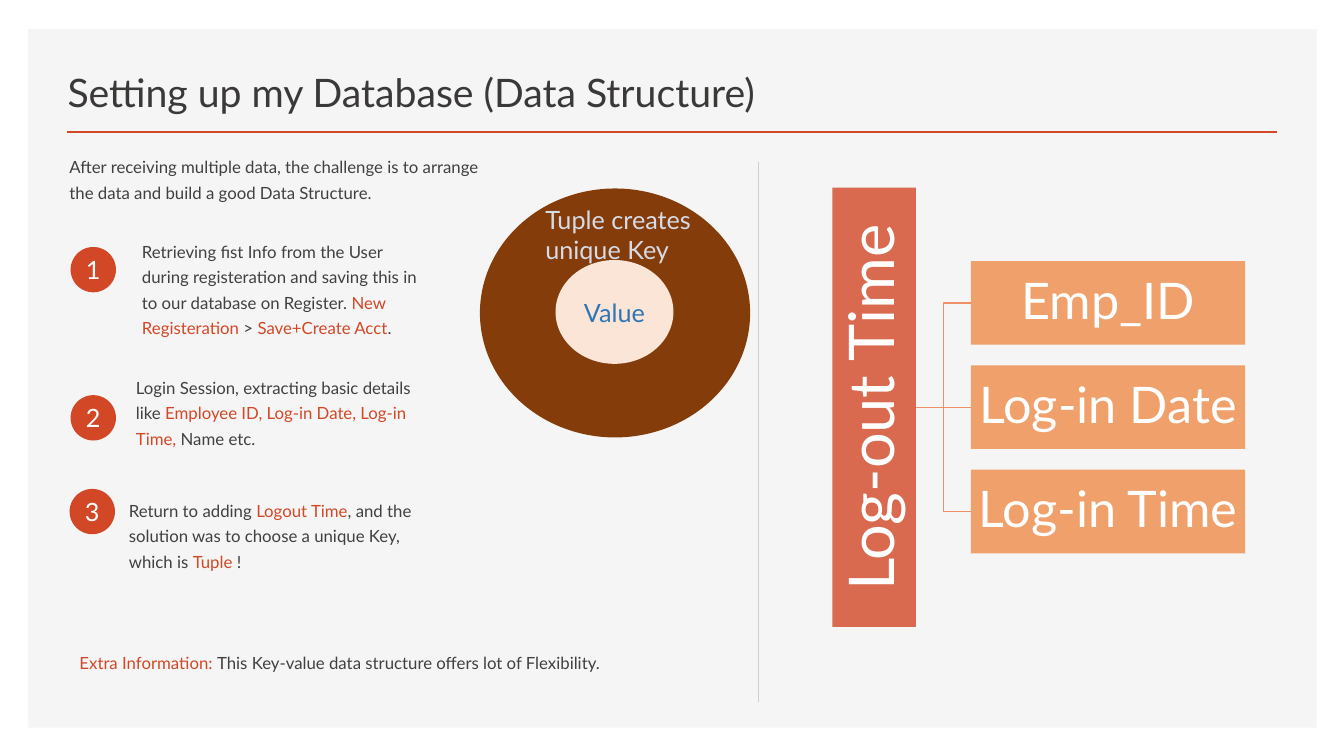
"""Builds the slide about setting up a key-value data structure."""
from dataclasses import dataclass

from lxml import etree
from pptx import Presentation
from pptx.dml.color import RGBColor
from pptx.enum.shapes import MSO_CONNECTOR, MSO_SHAPE
from pptx.enum.text import MSO_ANCHOR, MSO_AUTO_SIZE, PP_ALIGN
from pptx.oxml.ns import qn
from pptx.util import Inches, Pt

RECTANGLE, OVAL = MSO_SHAPE.RECTANGLE, MSO_SHAPE.OVAL
STRAIGHT, ELBOW = MSO_CONNECTOR.STRAIGHT, MSO_CONNECTOR.ELBOW
LEFT, CENTER = PP_ALIGN.LEFT, PP_ALIGN.CENTER
TOP, MIDDLE, BOTTOM = MSO_ANCHOR.TOP, MSO_ANCHOR.MIDDLE, MSO_ANCHOR.BOTTOM


@dataclass(frozen=True)
class Theme:
    font: str = "Lato"
    panel: str = "F5F5F5"
    accent: str = "D24726"
    heading: str = "3B3838"
    body: str = "404040"
    white: str = "FFFFFF"
    divider: str = "D0CECE"
    ring: str = "843C0B"
    ring_text: str = "D6DCE5"
    core: str = "FBE5D6"
    core_text: str = "2E75B6"
    field: str = "ED7D31"
    link: str = "EF9166"
    title_size: int = 28
    body_size: int = 12
    label_size: int = 18
    key_size: int = 45
    field_size: int = 36


THEME = Theme()
SLIDE_SIZE = (13.33, 7.5)
TITLE = "Setting up my Database (Data Structure)"
PLAIN, MARKED = THEME.body, THEME.accent

NOTES = [
    ((0.59, 1.46, 4.39, 0.7), [
        ("After receiving multiple data, the challenge is to arrange the data "
         "and build a good Data Structure.", PLAIN)]),
    ((1.31, 2.3, 3.06, 1.58), [
        ("Retrieving fist Info from the User during registeration and saving "
         "this in to our database on Register. ", PLAIN),
        ("New Registeration", MARKED), (" > ", PLAIN),
        ("Save+Create Acct", MARKED), (".", PLAIN)]),
    ((1.25, 3.65, 3.11, 1.12), [
        ("Login Session, extracting basic details like ", PLAIN),
        ("Employee ID, Log-in Date, Log-in Time,", MARKED),
        (" Name etc.", PLAIN)]),
    ((1.18, 4.87, 3.2, 1.38), [
        ("Return to adding ", PLAIN), ("Logout Time", MARKED),
        (", and the solution was to choose a unique Key, which is ", PLAIN),
        ("Tuple ", MARKED), ("!", PLAIN)]),
    ((0.69, 6.38, 6.67, 0.76), [
        ("Extra Information: ", MARKED),
        ("This Key-value data structure offers lot of Flexibility.", PLAIN)]),
]
BADGES = [(0.7, 2.45), (0.7, 3.92), (0.69, 4.85)]
BADGE_SIZE = 0.45

RING_BOX = (4.76, 1.87, 2.68, 2.47)
CORE_BOX = (5.51, 2.58, 1.17, 1.03)
RING_LABEL_BOX = (5.31, 1.98, 2.3, 0.71)

VALUE_KEY = "Log-out Time"
KEY_FIELDS = ["Emp_ID", "Log-in Date", "Log-in Time"]
TREE_MIDDLE = 4.04
BAR_HEIGHT, KEY_LENGTH, FIELD_WIDTH = 0.83, 4.36, 2.72
KEY_CENTER, FIELD_LEFT, FIELD_PITCH = 8.67, 9.63, 1.035


def inches(values):
    return [Inches(value) for value in values]


def color(value):
    return RGBColor.from_string(value)


def write(frame, spans, size, align=LEFT, anchor=TOP, inset=None):
    frame.word_wrap = True
    frame.auto_size = MSO_AUTO_SIZE.NONE
    frame.vertical_anchor = anchor
    if inset is not None:
        frame.margin_left = frame.margin_right = Inches(inset)
        frame.margin_top = frame.margin_bottom = Inches(inset)
    para = frame.paragraphs[0]
    para.alignment = align
    for text, tint in spans:
        span = para.add_run()
        span.text = text
        span.font.name = THEME.font
        span.font.size = Pt(size)
        span.font.color.rgb = color(tint)
    return para


def add_block(page, kind, place, fill, opacity=None):
    block = page.shapes.add_shape(kind, *inches(place))
    block.shadow.inherit = False
    block.line.fill.background()
    block.fill.solid()
    block.fill.fore_color.rgb = color(fill)
    if opacity:
        tint = block._element.spPr.find(".//" + qn("a:srgbClr"))
        etree.SubElement(tint, qn("a:alpha"), val=str(opacity * 1000))
    return block


def add_text(page, place, spans, size):
    box = page.shapes.add_textbox(*inches(place))
    return write(box.text_frame, spans, size)


def add_line(page, kind, start, end, tint, width):
    line = page.shapes.add_connector(kind, *inches(start + end))
    line.line.color.rgb = color(tint)
    line.line.width = Pt(width)
    etree.SubElement(line._element.spPr, qn("a:effectLst"))


def add_frame(page):
    add_block(page, RECTANGLE, (0.28, 0.29, 12.78, 6.93), THEME.panel)
    add_line(page, STRAIGHT, (0.66, 1.31), (12.67, 1.31), THEME.accent, 2)
    add_line(page, STRAIGHT, (7.52, 1.61), (7.52, 6.96), THEME.divider, 0.75)
    title = page.shapes.title
    title.left, title.top, title.width, title.height = inches((0.57, 0.49, 7.52, 0.7))
    write(title.text_frame, [(TITLE, THEME.heading)], THEME.title_size, anchor=BOTTOM)
    page.shapes._spTree.append(title._element)


def add_notes(page):
    for place, spans in NOTES:
        para = add_text(page, place, spans, THEME.body_size)
        para.line_spacing = Pt(18)
        para.space_before, para.space_after = Pt(10), Pt(20)
    for number, corner in enumerate(BADGES, 1):
        badge = add_block(page, OVAL, corner + (BADGE_SIZE, BADGE_SIZE), THEME.accent)
        write(badge.text_frame, [(str(number), THEME.white)], THEME.label_size,
              CENTER, MIDDLE, 0)


def add_rings(page):
    add_block(page, OVAL, RING_BOX, THEME.ring)
    core = add_block(page, OVAL, CORE_BOX, THEME.core)
    write(core.text_frame, [("Value", THEME.core_text)], THEME.label_size, CENTER, MIDDLE)
    add_text(page, RING_LABEL_BOX, [("Tuple creates unique Key", THEME.ring_text)],
             THEME.label_size)


def add_bar(page, text, place, fill, opacity, size):
    bar = add_block(page, RECTANGLE, place, fill, opacity)
    para = write(bar.text_frame, [(text, THEME.white)], size, CENTER, MIDDLE, 0.03)
    para.line_spacing = 0.9
    return bar


def add_tree(page):
    bar_top = TREE_MIDDLE - BAR_HEIGHT / 2
    link_start = (KEY_CENTER + BAR_HEIGHT / 2, TREE_MIDDLE)
    key_place = (KEY_CENTER - KEY_LENGTH / 2, bar_top, KEY_LENGTH, BAR_HEIGHT)
    key = add_bar(page, VALUE_KEY, key_place, THEME.accent, 80, THEME.key_size)
    key.rotation = 270
    for row, name in enumerate(KEY_FIELDS):
        shift = (row - (len(KEY_FIELDS) - 1) / 2) * FIELD_PITCH
        add_line(page, ELBOW if shift else STRAIGHT, link_start,
                 (FIELD_LEFT, TREE_MIDDLE + shift), THEME.link, 1)
        add_bar(page, name, (FIELD_LEFT, bar_top + shift, FIELD_WIDTH, BAR_HEIGHT),
                THEME.field, 70, THEME.field_size)


def main():
    deck = Presentation()
    deck.slide_width, deck.slide_height = inches(SLIDE_SIZE)
    page = deck.slides.add_slide(deck.slide_layouts.get_by_name("Title Only"))
    add_frame(page)
    add_notes(page)
    add_rings(page)
    add_tree(page)
    deck.save("out.pptx")


if __name__ == "__main__":
    main()
